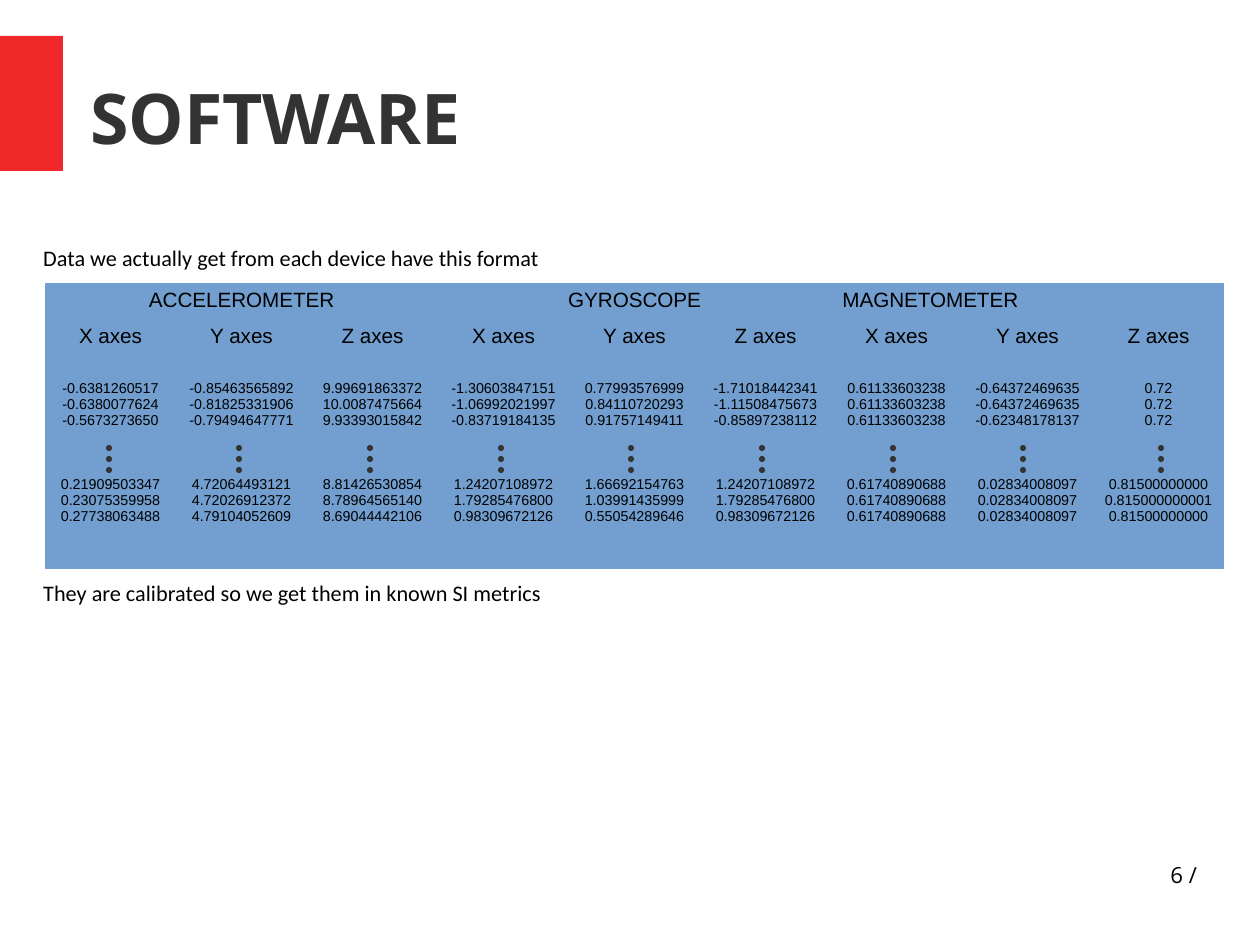
from dataclasses import dataclass
from itertools import product

from pptx import Presentation
from pptx.dml.color import RGBColor
from pptx.enum.shapes import MSO_SHAPE as Shape
from pptx.enum.text import MSO_ANCHOR as Anchor, MSO_AUTO_SIZE as AutoSize, PP_ALIGN as Align
from pptx.util import Pt


@dataclass(frozen=True)
class Theme:
    accent: str = "EF2929"
    dark: str = "333333"
    black: str = "000000"
    table: str = "729FCF"
    title_font: str = "Open Sans"
    body_font: str = "Calibri"
    table_font: str = "Arial"
    title_size: int = 44
    body_size: int = 14
    heading_size: int = 13
    value_size: int = 9


THEME = Theme()
EMU_PER_PX = 8000
NO_GRID_STYLE = "{2D5ABB26-0587-4C30-8999-92F81FD0307C}"

SENSORS = [
    ("ACCELEROMETER", Align.CENTER),
    ("GYROSCOPE", Align.CENTER),
    ("MAGNETOMETER", Align.LEFT),
]
AXES = ["X axes", "Y axes", "Z axes"]
FIRST_READINGS = [
    ["-0.6381260517", "-0.6380077624", "-0.5673273650"],
    ["-0.85463565892", "-0.81825331906", "-0.79494647771"],
    ["9.99691863372", "10.0087475664", "9.93393015842"],
    ["-1.30603847151", "-1.06992021997", "-0.83719184135"],
    ["0.77993576999", "0.84110720293", "0.91757149411"],
    ["-1.71018442341", "-1.11508475673", "-0.85897238112"],
    ["0.61133603238"] * 3,
    ["-0.64372469635", "-0.64372469635", "-0.62348178137"],
    ["0.72"] * 3,
]
LAST_READINGS = [
    ["0.21909503347", "0.23075359958", "0.27738063488"],
    ["4.72064493121", "4.72026912372", "4.79104052609"],
    ["8.81426530854", "8.78964565140", "8.69044442106"],
    ["1.24207108972", "1.79285476800", "0.98309672126"],
    ["1.66692154763", "1.03991435999", "0.55054289646"],
    ["1.24207108972", "1.79285476800", "0.98309672126"],
    ["0.61740890688"] * 3,
    ["0.02834008097"] * 3,
    ["0.81500000000", "0.815000000001", "0.81500000000"],
]


def px(*lengths):
    return [length * EMU_PER_PX for length in lengths]


def write(frame, text, font, size, color=THEME.black, bold=False, align=Align.LEFT):
    frame.text = text
    for para in frame.paragraphs:
        para.alignment = align
        for span in para.runs:
            span.font.name = font
            span.font.size = Pt(size)
            span.font.bold = bold
            span.font.color.rgb = RGBColor.from_string(color)


def clear_margins(frame):
    frame.margin_left = frame.margin_right = frame.margin_top = frame.margin_bottom = 0


def add_title(page, text):
    title = page.shapes.title
    title.left, title.top, title.width, title.height = px(90, 38, 1106, 158)
    frame = title.text_frame
    clear_margins(frame)
    frame.vertical_anchor = Anchor.MIDDLE
    frame.auto_size = AutoSize.NONE
    write(frame, text, THEME.title_font, THEME.title_size, THEME.dark, bold=True)


def add_solid(page, kind, bounds, color):
    shape = page.shapes.add_shape(kind, *px(*bounds))
    shape.shadow.inherit = False
    shape.fill.solid()
    shape.fill.fore_color.rgb = RGBColor.from_string(color)
    shape.line.fill.background()


def add_sentence(page, text, top):
    box = page.shapes.add_textbox(*px(32, top, 524, 39))
    box.text_frame.word_wrap = False
    box.text_frame.auto_size = AutoSize.SHAPE_TO_FIT_TEXT
    write(box.text_frame, text, THEME.body_font, THEME.body_size)


def add_page_number(page, text):
    box = page.shapes.add_textbox(*px(903, 861, 294, 65))
    box.text_frame.word_wrap = True
    clear_margins(box.text_frame)
    write(box.text_frame, text, THEME.title_font, THEME.body_size, align=Align.RIGHT)


def add_readings_table(page):
    columns = len(FIRST_READINGS)
    frame = page.shapes.add_table(3, columns, *px(45, 283, 131 * columns, 286))
    frame.element.xpath(".//a:tableStyleId")[0].text = NO_GRID_STYLE
    table = frame.table
    table.first_row = table.horz_banding = False
    for column in table.columns:
        column.width, = px(131)
    for row, height in zip(table.rows, px(36, 40, 210)):
        row.height = height
    for cell in table.iter_cells():
        cell.fill.solid()
        cell.fill.fore_color.rgb = RGBColor.from_string(THEME.table)

    for group, (sensor, align) in enumerate(SENSORS):
        start = group * len(AXES)
        heading = table.cell(0, start)
        heading.merge(table.cell(0, start + len(AXES) - 1))
        write(heading.text_frame, sensor, THEME.table_font, THEME.heading_size, align=align)

    for index, (first, last) in enumerate(zip(FIRST_READINGS, LAST_READINGS)):
        axis = table.cell(1, index).text_frame
        write(axis, AXES[index % len(AXES)], THEME.table_font, THEME.heading_size, align=Align.CENTER)
        cell = table.cell(2, index)
        cell.margin_top, gap = px(22, 48)
        write(cell.text_frame, "\n".join(first + last), THEME.table_font, THEME.value_size,
              align=Align.CENTER)
        cell.text_frame.paragraphs[len(first)].space_before = gap


def add_ellipsis_dots(page):
    lefts = [106 + 392 * column // 3 for column in range(8)] + [1158]
    for left, top in product(lefts, range(445, 468, 11)):
        add_solid(page, Shape.OVAL, (left, top, 6, 6), THEME.dark)


def main():
    deck = Presentation()
    deck.slide_width, deck.slide_height = px(1260, 945)
    page = deck.slides.add_slide(deck.slide_layouts[5])
    add_solid(page, Shape.RECTANGLE, (0, 36, 63, 135), THEME.accent)
    add_title(page, "SOFTWARE")
    add_readings_table(page)
    add_ellipsis_dots(page)
    add_sentence(page, "Data we actually get from each device have this format", 239)
    add_sentence(page, "They are calibrated so we get them in known SI metrics", 574)
    add_page_number(page, "6 /")
    deck.save("out.pptx")


if __name__ == "__main__":
    main()
